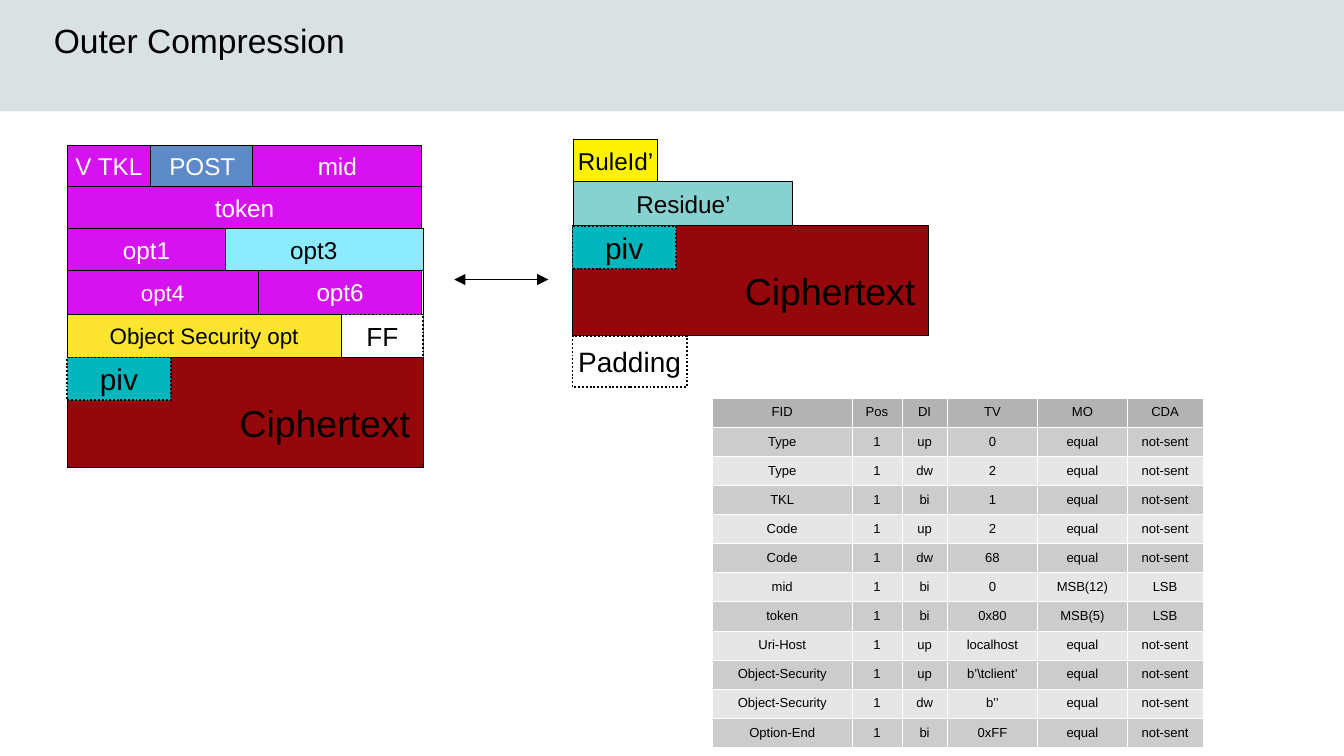
"""Build the Outer Compression slide: a packet, its compressed form and the rule table."""
from dataclasses import dataclass
from typing import Any

from lxml import etree
from pptx import Presentation
from pptx import util as u
from pptx.dml.color import RGBColor
from pptx.enum import dml, shapes, text
from pptx.oxml import ns


@dataclass(frozen=True)
class Theme:
    font: str = "Arial"
    black: str = "000000"
    white: str = "FFFFFF"
    band: str = "D9E1E2"
    field: str = "D612F0"
    method: str = "5E8AC7"
    option: str = "8CEBFF"
    security: str = "FCE431"
    cipher: str = "94070A"
    piv: str = "00B6BD"
    rule: str = "FFF200"
    residue: str = "87D1D1"
    header: str = "B3B3B3"
    stripes: tuple[str, str] = ("CCCCCC", "E6E6E6")
    title_size: float = 18
    cipher_size: float = 20
    piv_size: float = 16
    padding_size: float = 15
    marker_size: float = 14
    field_size: float = 13
    small_size: float = 12
    table_size: float = 7
    hairline: float = 0.01
    dotted: float = 1.02
    cell_border: float = 0.06


THEME = Theme()
SLIDE_WIDTH = 10
SLIDE_HEIGHT = SLIDE_WIDTH * 9 / 16


@dataclass(frozen=True)
class Block:
    row: int
    start: float
    width: float
    fill: str
    label: str = ""
    color: str = THEME.black
    size: float = THEME.field_size
    span: int = 1
    dotted: bool = False
    corner: bool = False


@dataclass(frozen=True)
class Stack:
    left: float
    row_lines: tuple[float, ...]
    blocks: tuple[Block, ...]


def payload(row: int) -> tuple[Block, Block]:
    """Return the ciphertext block with the piv block in its top left corner."""
    return (
        Block(row, 0, 2.65, THEME.cipher, "Ciphertext", size=THEME.cipher_size, span=2, corner=True),
        Block(row, 0, 0.77, THEME.piv, "piv", size=THEME.piv_size, dotted=True),
    )


PACKET = Stack(0.5, (1.08, 1.39, 1.7, 2.01, 2.34, 2.66, 2.98, 3.48), (
    Block(2, 0, 2.65, THEME.white, span=5),
    Block(2, 1.02, 1.63, THEME.option, "opt3"),
    Block(2, 0, 1.18, THEME.field, "opt1", THEME.white),
    Block(0, 0.62, 0.77, THEME.method, "POST", THEME.white),
    Block(0, 1.38, 1.26, THEME.field, "mid", THEME.white),
    Block(0, 0, 0.62, THEME.field, "V TKL", THEME.white),
    Block(1, 0, 2.64, THEME.field, "token", THEME.white),
    Block(3, 1.42, 1.22, THEME.field, "opt6", THEME.white),
    Block(3, 0, 1.42, THEME.field, "opt4", THEME.white, THEME.small_size),
    Block(4, 2.04, 0.61, THEME.white, "FF", size=THEME.marker_size, dotted=True),
    Block(4, 0, 2.04, THEME.security, "Object Security opt", size=THEME.small_size),
    *payload(5),
))
COMPRESSED = Stack(4.26, (1.04, 1.35, 1.68, 2, 2.5, 2.88), (
    Block(0, 0.01, 0.62, THEME.rule, "RuleId’"),
    Block(1, 0.01, 1.63, THEME.residue, "Residue’"),
    *payload(2),
    Block(4, 0, 0.85, THEME.white, "Padding", size=THEME.padding_size, dotted=True),
))

COLUMN_WIDTHS = (1.04, 0.37, 0.34, 0.67, 0.67, 0.56)
TABLE_LEFT, TABLE_TOP, TABLE_HEIGHT = 5.3, 2.96, 2.6
RULES = (
    ("FID", "Pos", "DI", "TV", "MO", "CDA"),
    ("Type", "1", "up", "0", "equal", "not-sent"),
    ("Type", "1", "dw", "2", "equal", "not-sent"),
    ("TKL", "1", "bi", "1", "equal", "not-sent"),
    ("Code", "1", "up", "2", "equal", "not-sent"),
    ("Code", "1", "dw", "68", "equal", "not-sent"),
    ("mid", "1", "bi", "0", "MSB(12)", "LSB"),
    ("token", "1", "bi", "0x80", "MSB(5)", "LSB"),
    ("Uri-Host", "1", "up", "localhost", "equal", "not-sent"),
    ("Object-Security", "1", "up", r"b’\tclient’", "equal", "not-sent"),
    ("Object-Security", "1", "dw", "b’’", "equal", "not-sent"),
    ("Option-End", "1", "bi", "0xFF", "equal", "not-sent"),
)


def apply(target: Any, values: dict[str, Any]) -> None:
    """Set each named attribute on the target."""
    for name, value in values.items():
        setattr(target, name, value)


def paint(fill: Any, color: str) -> None:
    """Give a fill one solid colour."""
    fill.solid()
    fill.fore_color.rgb = RGBColor.from_string(color)


def write(frame: Any, label: str, size: float, color: str, align: Any) -> None:
    """Write one formatted paragraph into a text frame."""
    para = frame.paragraphs[0]
    para.alignment = align
    span = para.add_run()
    span.text = label
    apply(span.font, {"name": THEME.font, "size": u.Pt(size)})
    span.font.color.rgb = RGBColor.from_string(color)


def add_box(page: Any, left: float, top: float, width: float, height: float, color: str) -> Any:
    """Add a plain filled rectangle without shadow."""
    box = page.shapes.add_shape(shapes.MSO_SHAPE.RECTANGLE, *map(u.Inches, (left, top, width, height)))
    box.shadow.inherit = False
    paint(box.fill, color)
    return box


def draw_stack(page: Any, stack: Stack) -> None:
    """Draw every block of a stack on its row lines."""
    for block in stack.blocks:
        top, bottom = stack.row_lines[block.row], stack.row_lines[block.row + block.span]
        box = add_box(page, stack.left + block.start, top, block.width, bottom - top, block.fill)
        box.line.color.rgb = RGBColor.from_string(THEME.black)
        box.line.width = u.Pt(THEME.dotted if block.dotted else THEME.hairline)
        if block.dotted:
            box.line.dash_style = dml.MSO_LINE.ROUND_DOT
        if block.label:
            apply(box.text_frame, {
                "word_wrap": block.corner,
                "vertical_anchor": text.MSO_ANCHOR.BOTTOM if block.corner else text.MSO_ANCHOR.MIDDLE,
                "margin_bottom": u.Inches(0.17 if block.corner else 0.05),
            })
            align = text.PP_ALIGN.RIGHT if block.corner else text.PP_ALIGN.CENTER
            write(box.text_frame, block.label, block.size, block.color, align)


def draw_title(page: Any) -> None:
    """Place the title on its band."""
    title = page.shapes.title
    apply(title, dict(zip(("left", "top", "width", "height"), map(u.Inches, (0.3, 0.1, 8.4, 0.94)))))
    apply(title.text_frame, {"vertical_anchor": text.MSO_ANCHOR.TOP, "word_wrap": True,
                             "auto_size": text.MSO_AUTO_SIZE.NONE})
    write(title.text_frame, "Outer Compression", THEME.title_size, THEME.black, text.PP_ALIGN.LEFT)
    band = add_box(page, 0, 0, SLIDE_WIDTH, 0.83, THEME.band)
    band.line.fill.background()
    title.element.addprevious(band.element)


def draw_arrow(page: Any) -> None:
    """Draw the two-headed arrow between the stacks."""
    arrow = page.shapes.add_connector(shapes.MSO_CONNECTOR.STRAIGHT, *map(u.Inches, (3.38, 2.08, 4.08, 2.08)))
    arrow.line.color.rgb = RGBColor.from_string(THEME.black)
    arrow.line.width = u.Pt(THEME.hairline)
    properties = arrow.element.spPr
    for end in ("a:headEnd", "a:tailEnd"):
        etree.SubElement(properties.find(ns.qn("a:ln")), ns.qn(end), type="triangle")
    etree.SubElement(properties, ns.qn("a:effectLst"))


def border_cell(cell: Any) -> None:
    """Give all four sides of a cell a thin white border."""
    properties = cell._tc.get_or_add_tcPr()
    for index, side in enumerate(("a:lnL", "a:lnR", "a:lnT", "a:lnB")):
        border = etree.Element(ns.qn(side), w=str(int(u.Pt(THEME.cell_border))))
        solid = etree.SubElement(border, ns.qn("a:solidFill"))
        etree.SubElement(solid, ns.qn("a:srgbClr"), val=THEME.white)
        properties.insert(index, border)


def draw_table(page: Any) -> None:
    """Draw the rule table with striped rows."""
    bounds = map(u.Inches, (TABLE_LEFT, TABLE_TOP, sum(COLUMN_WIDTHS), TABLE_HEIGHT))
    table = page.shapes.add_table(len(RULES), len(COLUMN_WIDTHS), *bounds).table
    for column, width in zip(table.columns, COLUMN_WIDTHS):
        column.width = u.Inches(width)
    for number, (row, labels) in enumerate(zip(table.rows, RULES)):
        color = THEME.stripes[(number - 1) % 2] if number else THEME.header
        for cell, label in zip(row.cells, labels):
            paint(cell.fill, color)
            border_cell(cell)
            cell.vertical_anchor = text.MSO_ANCHOR.MIDDLE
            write(cell.text_frame, label, THEME.table_size, THEME.black, text.PP_ALIGN.CENTER)


def main() -> None:
    """Build and save the deck."""
    deck = Presentation()
    apply(deck, {"slide_width": u.Inches(SLIDE_WIDTH), "slide_height": u.Inches(SLIDE_HEIGHT)})
    page = deck.slides.add_slide(deck.slide_layouts[5])
    draw_title(page)
    draw_stack(page, PACKET)
    draw_arrow(page)
    draw_stack(page, COMPRESSED)
    draw_table(page)
    deck.save("out.pptx")


if __name__ == "__main__":
    main()
